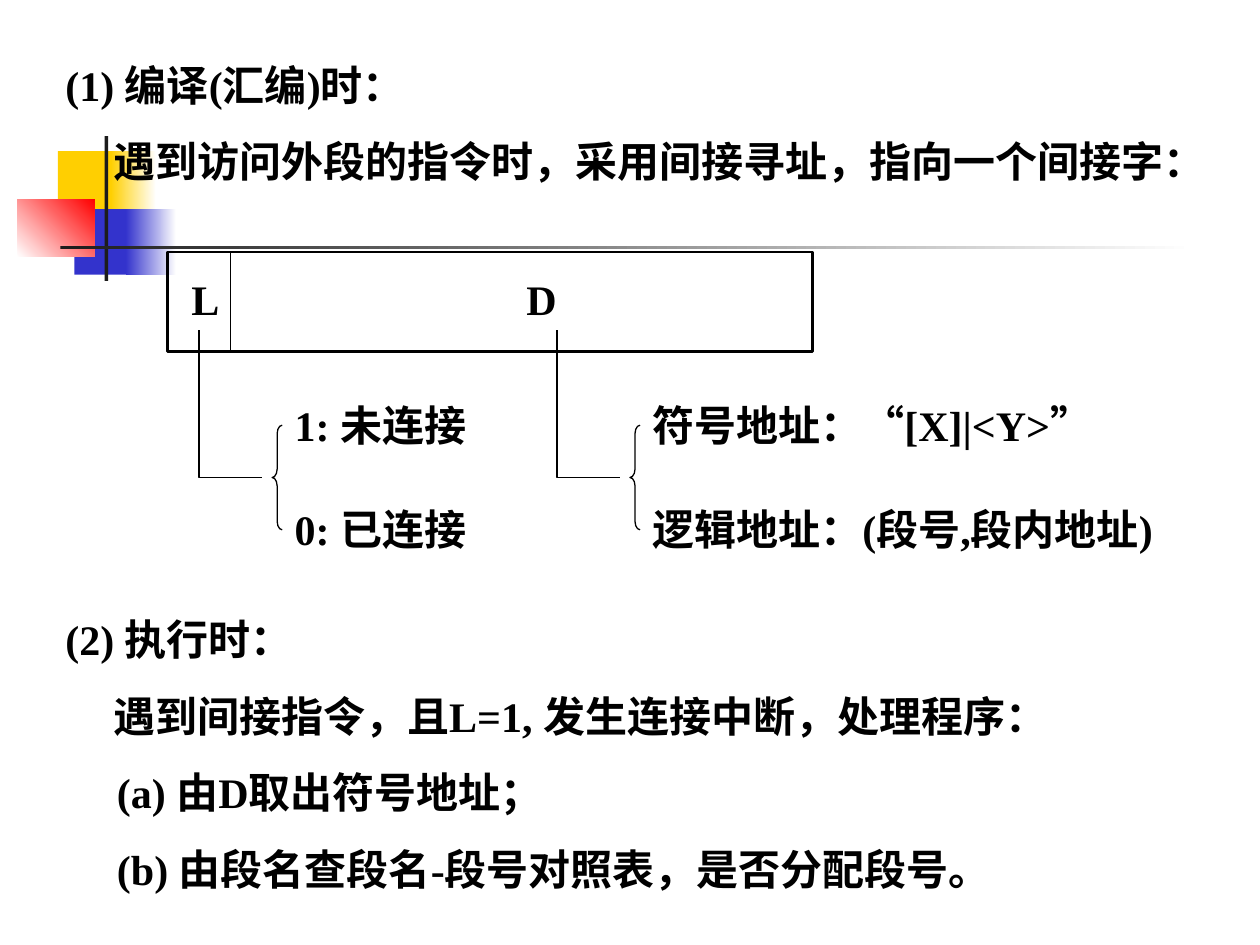
from pptx import Presentation, util as u
from pptx.dml.color import RGBColor
from pptx.enum import lang, shapes, text
from lxml import etree

INK, BLACK, WHITE, GOLD, BLUE, RED = (
    "1C1C1C", "000000", "FFFFFF", "FFCF01", "3333CC", "FF0000")
FONT = "Times New Roman"

# Decoration: left, top, width, height, colours, gradient angle
DECOR = [
    (0.46, 1.2, 0.48, 0.52, [GOLD], 0),
    (0.88, 1.2, 0.36, 0.52, [GOLD, WHITE], 0),
    (0.59, 1.66, 0.46, 0.52, [BLUE], 0),
    (1, 1.66, 0.4, 0.52, [BLUE, WHITE], 0),
    (0.14, 1.58, 0.61, 0.46, [WHITE, RED], 45),
    (0.83, 1.08, 0.03, 1.15, [INK], 0),
    (0.48, 1.95, 9, 0.03, [INK, WHITE], 0),
]
# Steps: top, height, lines as (indent, words)
STEPS = [
    (0.42, 1.11, [
        (0, "(1) 编译(汇编)时："),
        (0.38, "遇到访问外段的指令时，采用间接寻址，指向一个间接字：")]),
    (4.82, 2.33, [
        (0, "(2) 执行时："),
        (0.38, "遇到间接指令，且L=1, 发生连接中断，处理程序："),
        (0.41, "(a) 由D取出符号地址；"),
        (0.41, "(b) 由段名查段名-段号对照表，是否分配段号。")]),
]
# Word fields: name, name left, name width, stem left, notes as (width, words)
FIELDS = [
    ("L", 1.42, 0.33, 1.58, [(1.67, "1: 未连接"), (1.67, "0: 已连接")]),
    ("D", 4.08, 0.67, 4.42, [(3.83, "符号地址：“[X]|<Y>”"),
                             (4.5, "逻辑地址：(段号,段内地址)")]),
]
WORD = (1.33, 2, 5.12, 0.79)
SPLIT = 1.83
STEM, MID, ARM = 2.62, 3.79, 0.5
BRACE_W, BRACE_H, NOTE_GAP = 0.08, 0.83, 0.83

prs = Presentation()
prs.slide_width, prs.slide_height = u.Inches(10), u.Inches(7.5)
slide = prs.slides.add_slide(prs.slide_layouts[6])
parts = slide.shapes


def rgb(code):
    return RGBColor.from_string(code)


def inch(*vals):
    return [u.Inches(v) for v in vals]


def stroke(item, width=0.75):
    item.line.color.rgb = rgb(BLACK)
    item.line.width = u.Pt(width)


def shape(kind, *box):
    item = parts.add_shape(kind, *inch(*box))
    item.shadow.inherit = False
    item.fill.background()
    return item


def write(box, lines):
    frame = parts.add_textbox(*inch(*box)).text_frame
    frame.word_wrap = True
    frame.auto_size = text.MSO_AUTO_SIZE.SHAPE_TO_FIT_TEXT
    for i, (indent, words) in enumerate(lines):
        para = frame.add_paragraph() if i else frame.paragraphs[0]
        para.text = words
        if i:
            para.space_before = u.Pt(15)
        if indent:
            props = para._p.get_or_add_pPr()
            props.set("marL", str(u.Inches(indent)))
            props.set("indent", "0")
        font = para.runs[0].font
        font.name, font.size, font.bold = FONT, u.Pt(24), True
        font.color.rgb = rgb(BLACK)
        font.language_id = lang.MSO_LANGUAGE_ID.SIMPLIFIED_CHINESE


# Corner decoration
for *box, cols, angle in DECOR:
    item = shape(shapes.MSO_SHAPE.RECTANGLE, *box)
    item.line.fill.background()
    if len(cols) == 1:
        item.fill.solid()
        item.fill.fore_color.rgb = rgb(cols[0])
    else:
        item.fill.gradient()
        item.fill.gradient_angle = angle
        for stop, col in zip(item.fill.gradient_stops, cols):
            stop.color.rgb = rgb(col)

# Numbered steps
for top, height, lines in STEPS:
    write((0.42, top, 9.25, height), lines)

# Indirect word and its divider
stroke(shape(shapes.MSO_SHAPE.RECTANGLE, *WORD), 1.5)
rule = parts.add_connector(
    shapes.MSO_CONNECTOR.STRAIGHT,
    *inch(SPLIT, WORD[1], SPLIT, WORD[1] + WORD[3]))
stroke(rule)
etree.SubElement(
    rule._element.spPr,
    "{http://schemas.openxmlformats.org/drawingml/2006/main}effectLst")

# Fields: name, elbow, brace, notes
for name, left, width, stem, notes in FIELDS:
    write((left, 2.12, width, 0.5), [(0, name)])
    pen = parts.build_freeform(*inch(stem, STEM), scale=1.0)
    pen.add_line_segments(
        [inch(stem, MID), inch(stem + ARM, MID)], close=False)
    elbow = pen.convert_to_shape()
    elbow.shadow.inherit = False
    elbow.fill.background()
    stroke(elbow)
    tip = stem + ARM + BRACE_W
    brace = shape(shapes.MSO_SHAPE.LEFT_BRACE,
                  tip, MID - BRACE_H / 2, BRACE_W, BRACE_H)
    brace.adjustments[0] = 0.83
    stroke(brace)
    for row, (wide, words) in enumerate(notes):
        write((tip + BRACE_W, 3.12 + row * NOTE_GAP, wide, 0.5), [(0, words)])

prs.save("out.pptx")
